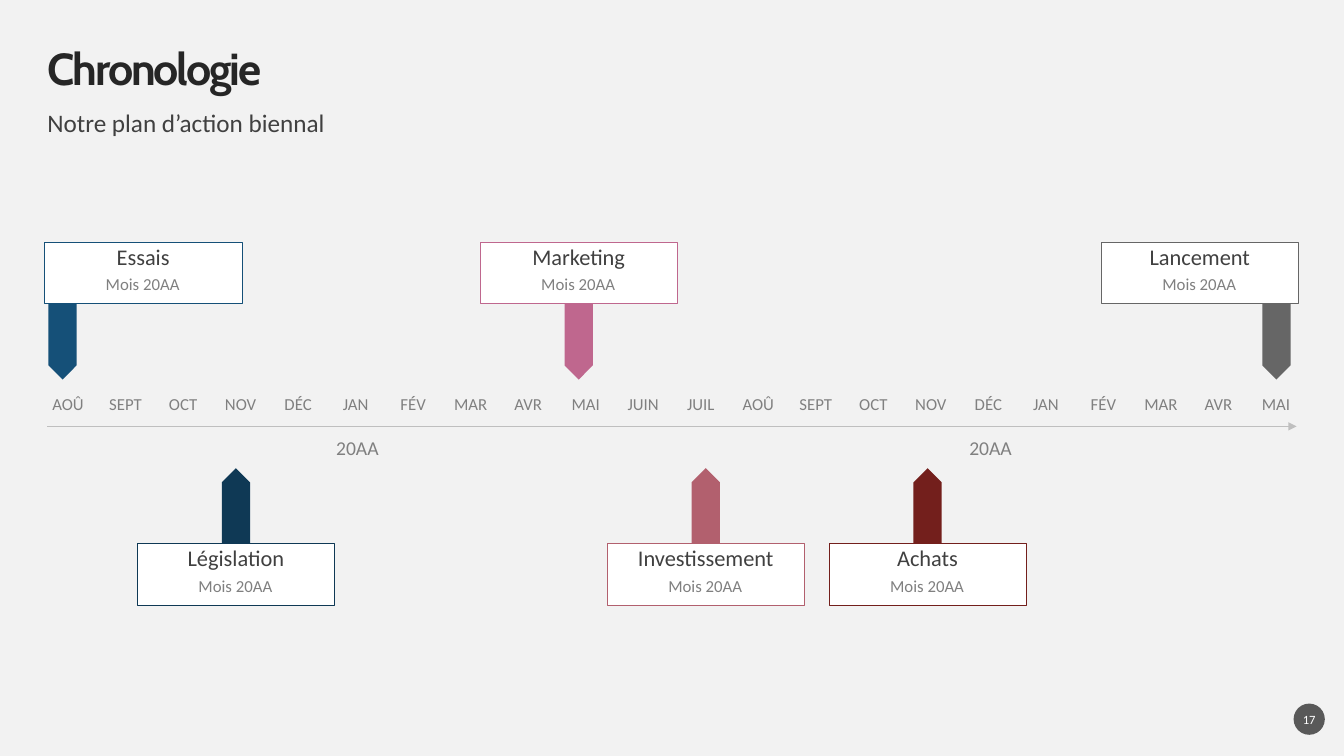
from pptx import Presentation
from pptx.util import Inches, Pt
from pptx.dml.color import RGBColor
from pptx.enum.shapes import MSO_SHAPE as SHAPE, MSO_CONNECTOR as CONN
from pptx.enum.text import PP_ALIGN as ALIGN, MSO_ANCHOR as ANCHOR
from pptx.oxml.ns import qn
from lxml import etree

COLORS = {
    "background": "F2F2F2", "white": "FFFFFF", "title": "262626",
    "text": "404040", "muted": "808080", "axis": "BFBFBF", "badge": "595959",
    "blue": "155078", "navy": "0F3955", "pink": "BF678E",
    "rose": "B2606E", "red": "731F1C", "gray": "666666",
}


def rgb(name):
    return RGBColor.from_string(COLORS[name])


def write(sp, text, size, color, align=ALIGN.CENTER, anchor=ANCHOR.TOP,
          font="Calibri", spacing=0.9, top=0):
    tf = sp.text_frame
    tf.word_wrap = True
    tf.vertical_anchor = anchor
    tf.margin_left = tf.margin_right = tf.margin_bottom = 0
    tf.margin_top = Inches(top)
    p = tf.paragraphs[0]
    p.alignment = align
    p.line_spacing = spacing
    r = p.add_run()
    r.text = text
    r.font.name = font
    r.font.size = Pt(size)
    r.font.color.rgb = rgb(color)
    return r


prs = Presentation()
prs.slide_width, prs.slide_height = Inches(13.33), Inches(7.5)
s = prs.slides.add_slide(prs.slide_layouts[6])
s.background.fill.solid()
s.background.fill.fore_color.rgb = rgb("background")

# Title and subtitle
sp = s.shapes.add_textbox(Inches(0.47), Inches(0.47), Inches(12.39), Inches(0.47))
r = write(sp, "Chronologie", 32, "title", ALIGN.LEFT, ANCHOR.MIDDLE, "Cabin")
r.font.bold = True
r.font._element.set("spc", "-150")
sp = s.shapes.add_textbox(Inches(0.47), Inches(1.1), Inches(12.39), Inches(0.28))
write(sp, "Notre plan d’action biennal", 18, "text", ALIGN.LEFT)

# Time axis
axis = s.shapes.add_connector(CONN.STRAIGHT, Inches(0.47), Inches(4.23),
                              Inches(12.86), Inches(4.23))
axis.line.color.rgb = rgb("axis")
axis.line.width = Pt(0.5)
etree.SubElement(axis.line._get_or_add_ln(), qn("a:tailEnd"), type="triangle")
etree.SubElement(axis._element.spPr, qn("a:effectLst"))

# Months, evenly spaced along the axis
months = ("AOÛ SEPT OCT NOV DÉC JAN FÉV MAR AVR MAI JUIN JUIL "
          "AOÛ SEPT OCT NOV DÉC JAN FÉV MAR AVR MAI").split()
month_step = (12.45 - 0.47) / (len(months) - 1)
for i, month in enumerate(months):
    sp = s.shapes.add_textbox(Inches(0.47 + i * month_step), Inches(3.93),
                              Inches(0.41), Inches(0.22))
    write(sp, month, 12, "muted")

# Years
for x in (3.32, 9.6):
    sp = s.shapes.add_textbox(Inches(x), Inches(4.35), Inches(0.45), Inches(0.22))
    write(sp, "20AA", 14, "muted", anchor=ANCHOR.MIDDLE)

# Milestones: name, colour, box left, marker centre, above the axis
milestones = [
    ("Essais", "blue", 0.44, 0.62, True),
    ("Législation", "navy", 1.36, 2.34, False),
    ("Marketing", "pink", 4.76, 5.74, True),
    ("Investissement", "rose", 6.02, 7.0, False),
    ("Achats", "red", 8.22, 9.2, False),
    ("Lancement", "gray", 10.92, 12.66, True),
]
for name, color, x, center, above in milestones:
    box_y, marker_y, angle = (2.4, 3.25, 90) if above else (5.39, 4.88, 270)

    marker = s.shapes.add_shape(SHAPE.PENTAGON, Inches(center - 0.75 / 2),
                                Inches(marker_y), Inches(0.75), Inches(0.28))
    marker.rotation = angle
    marker.shadow.inherit = False
    marker.fill.solid()
    marker.fill.fore_color.rgb = rgb(color)
    marker.line.fill.background()

    box = s.shapes.add_shape(SHAPE.RECTANGLE, Inches(x), Inches(box_y),
                             Inches(1.96), Inches(0.61))
    box.shadow.inherit = False
    box.fill.solid()
    box.fill.fore_color.rgb = rgb("white")
    box.line.color.rgb = rgb(color)
    box.line.width = Pt(0.25)
    write(box, name, 16, "text", top=0.04)

    date = s.shapes.add_textbox(Inches(x + 0.05), Inches(box_y + 0.34),
                                Inches(1.85), Inches(0.25))
    write(date, "Mois 20AA", 12, "muted")

# Page number
badge = s.shapes.add_shape(SHAPE.OVAL, Inches(12.83), Inches(6.98),
                           Inches(0.31), Inches(0.31))
badge.shadow.inherit = False
badge.fill.solid()
badge.fill.fore_color.rgb = rgb("badge")
badge.line.fill.background()
write(badge, "17", 9, "white", anchor=ANCHOR.MIDDLE, spacing=1.0)

prs.save("out.pptx")
